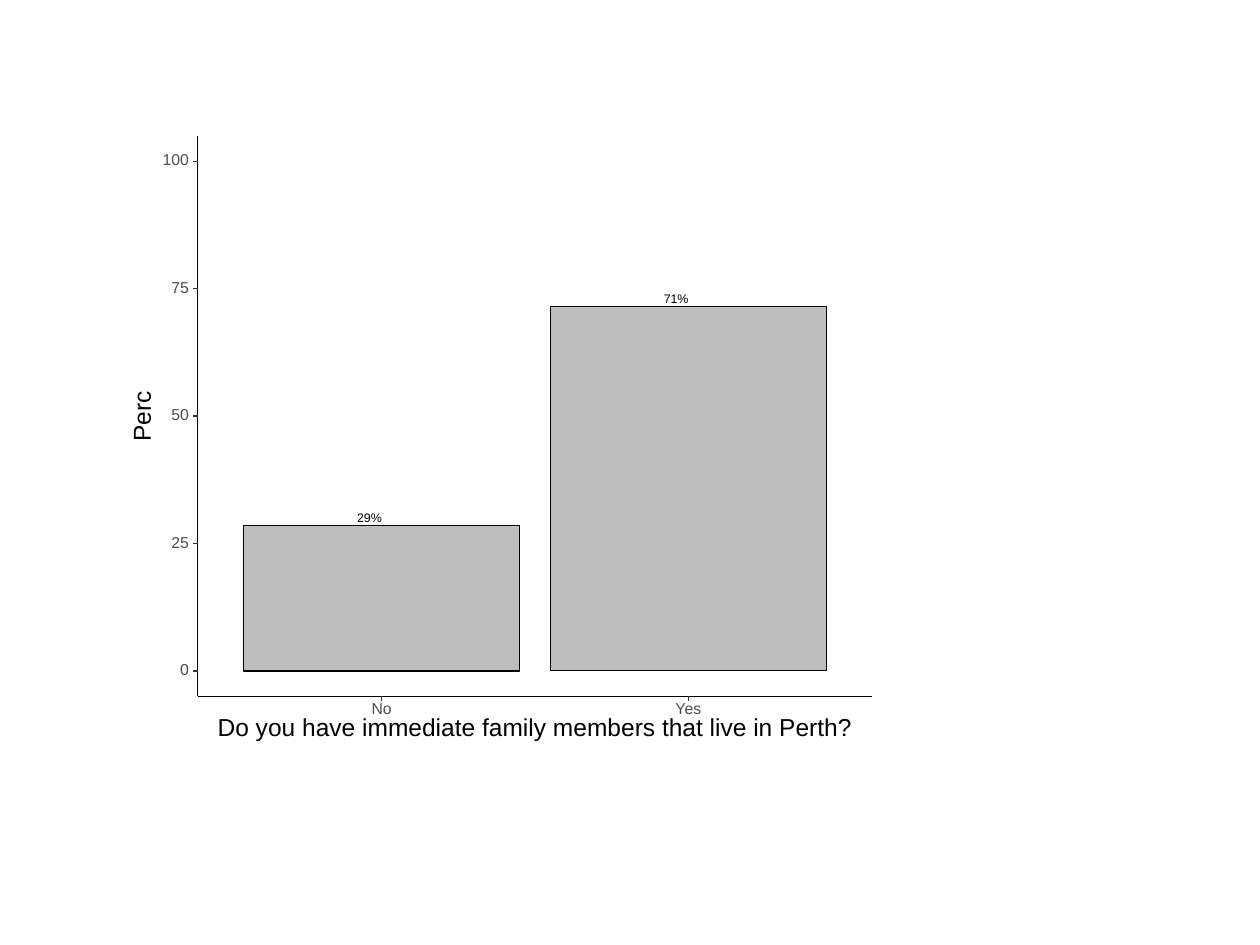
from dataclasses import dataclass

from lxml.etree import SubElement
from pptx import Presentation
from pptx.dml.color import RGBColor
from pptx.enum.shapes import MSO_CONNECTOR, MSO_SHAPE
from pptx.enum.text import MSO_ANCHOR, MSO_AUTO_SIZE, PP_ALIGN
from pptx.oxml.ns import qn
from pptx.util import Pt


@dataclass(frozen=True)
class Theme:
    """Colours, type sizes and line widths."""
    font: str = "Arial"
    white: str = "FFFFFF"
    bar: str = "BEBEBE"
    ink: str = "000000"
    tick: str = "333333"
    tick_text: str = "4D4D4D"
    value_size: float = 7.1
    tick_size: float = 9
    title_size: float = 14
    line: float = 0.64
    frame_line: float = 1.07


@dataclass(frozen=True)
class Box:
    """A rectangle in points."""
    left: float
    top: float
    width: float
    height: float

    @property
    def bottom(self):
        return self.top + self.height


THEME = Theme()
ANSWERS = [("No", 28.57, "29%"), ("Yes", 71.43, "71%")]
TICKS = range(0, 101, 25)
TICK_LENGTH = 2.74
# The value axis runs from -5 to 105; the categories have 0.6 units at each end.
AXIS_MIN, AXIS_SPAN = -5, 110
EDGE, BAR_WIDTH = 0.6, 0.9


def add_rectangle(shapes, box, fill, line=None, width=THEME.line):
    """Add a filled rectangle, outlined if a line colour is given."""
    shape = shapes.add_shape(MSO_SHAPE.RECTANGLE, Pt(box.left), Pt(box.top),
                             Pt(box.width), Pt(box.height))
    shape.shadow.inherit = False
    shape.fill.solid()
    shape.fill.fore_color.rgb = RGBColor.from_string(fill)
    if line:
        shape.line.color.rgb = RGBColor.from_string(line)
        shape.line.width = Pt(width)
    else:
        shape.line.fill.background()


def add_line(shapes, x1, y1, x2, y2, color):
    """Add a straight line without a shadow."""
    connector = shapes.add_connector(MSO_CONNECTOR.STRAIGHT,
                                     Pt(x1), Pt(y1), Pt(x2), Pt(y2))
    connector.line.color.rgb = RGBColor.from_string(color)
    connector.line.width = Pt(THEME.line)
    SubElement(connector._element.spPr, qn("a:effectLst"))


def add_label(shapes, text, x, y, width, size, color, rotation=0):
    """Add one line of text centred on a point."""
    height = size * 0.72
    shape = shapes.add_textbox(Pt(x - width / 2), Pt(y - height / 2),
                               Pt(width), Pt(height))
    shape.rotation = rotation
    frame = shape.text_frame
    frame.margin_left = frame.margin_top = 0
    frame.margin_right = frame.margin_bottom = 0
    frame.word_wrap = False
    frame.auto_size = MSO_AUTO_SIZE.NONE
    frame.vertical_anchor = MSO_ANCHOR.MIDDLE
    paragraph = frame.paragraphs[0]
    paragraph.alignment = PP_ALIGN.CENTER
    paragraph.line_spacing = Pt(size)
    run = paragraph.add_run()
    run.text = text
    run.font.name = THEME.font
    run.font.size = Pt(size)
    run.font.color.rgb = RGBColor.from_string(color)


def value_y(plot, value):
    """Return the height on the slide of a value."""
    return plot.bottom - (value - AXIS_MIN) / AXIS_SPAN * plot.height


def category_unit(plot, count):
    """Return the width of one category."""
    return plot.width / (count - 1 + 2 * EDGE)


def category_x(plot, index, count):
    """Return the centre of a category."""
    return plot.left + (EDGE + index) * category_unit(plot, count)


def add_bars(shapes, plot, answers):
    """Draw the bars, then their percentages."""
    count = len(answers)
    width = BAR_WIDTH * category_unit(plot, count)
    for index, (_, value, _) in enumerate(answers):
        top = value_y(plot, value)
        bar = Box(category_x(plot, index, count) - width / 2, top,
                  width, value_y(plot, 0) - top)
        add_rectangle(shapes, bar, THEME.bar, THEME.ink)
    for index, (_, value, label) in enumerate(answers):
        # The percentages sit slightly left of the bar centres.
        add_label(shapes, label, category_x(plot, index, count) - 7,
                  value_y(plot, value) - 4, 14.2, THEME.value_size, THEME.ink)


def add_value_axis(shapes, plot, title):
    """Draw the vertical axis with ticks, labels and title."""
    add_line(shapes, plot.left, plot.bottom, plot.left, plot.top, THEME.ink)
    for value in TICKS:
        y, text = value_y(plot, value), str(value)
        width = 5 * len(text)
        add_label(shapes, text, plot.left - 5 - width / 2, y, width,
                  THEME.tick_size, THEME.tick_text)
        add_line(shapes, plot.left - TICK_LENGTH, y, plot.left, y, THEME.tick)
    add_label(shapes, title, plot.left - 31, plot.top + plot.height / 2,
              28.8, THEME.title_size, THEME.ink, rotation=270)


def add_category_axis(shapes, plot, answers, title):
    """Draw the horizontal axis with ticks, labels and title."""
    base = plot.bottom
    add_line(shapes, plot.left, base, plot.left + plot.width, base, THEME.ink)
    for index, (name, _, _) in enumerate(answers):
        x = category_x(plot, index, len(answers))
        add_line(shapes, x, base + TICK_LENGTH, x, base, THEME.tick)
        add_label(shapes, name, x, base + 7.8, 5.5 * len(name),
                  THEME.tick_size, THEME.tick_text)
    add_label(shapes, title, plot.left + plot.width / 2, base + 18.7,
              362, THEME.title_size, THEME.ink)


def add_bar_plot(slide, frame):
    """Place the whole plot as one group inside the frame."""
    shapes = slide.shapes.add_group_shape().shapes
    plot = Box(frame.left + 41, frame.top + 5.5,
               frame.width - 46.5, frame.height - 39.5)
    add_rectangle(shapes, frame, THEME.white, THEME.white, THEME.frame_line)
    add_rectangle(shapes, plot, THEME.white)
    add_bars(shapes, plot, ANSWERS)
    add_value_axis(shapes, plot, "Perc")
    add_category_axis(shapes, plot, ANSWERS,
                      "Do you have immediate family members that live in Perth?")


presentation = Presentation()
presentation.slide_width, presentation.slide_height = Pt(720), Pt(540)
slide = presentation.slides.add_slide(presentation.slide_layouts[6])
add_bar_plot(slide, Box(72, 72, 432, 360))
presentation.save("out.pptx")
